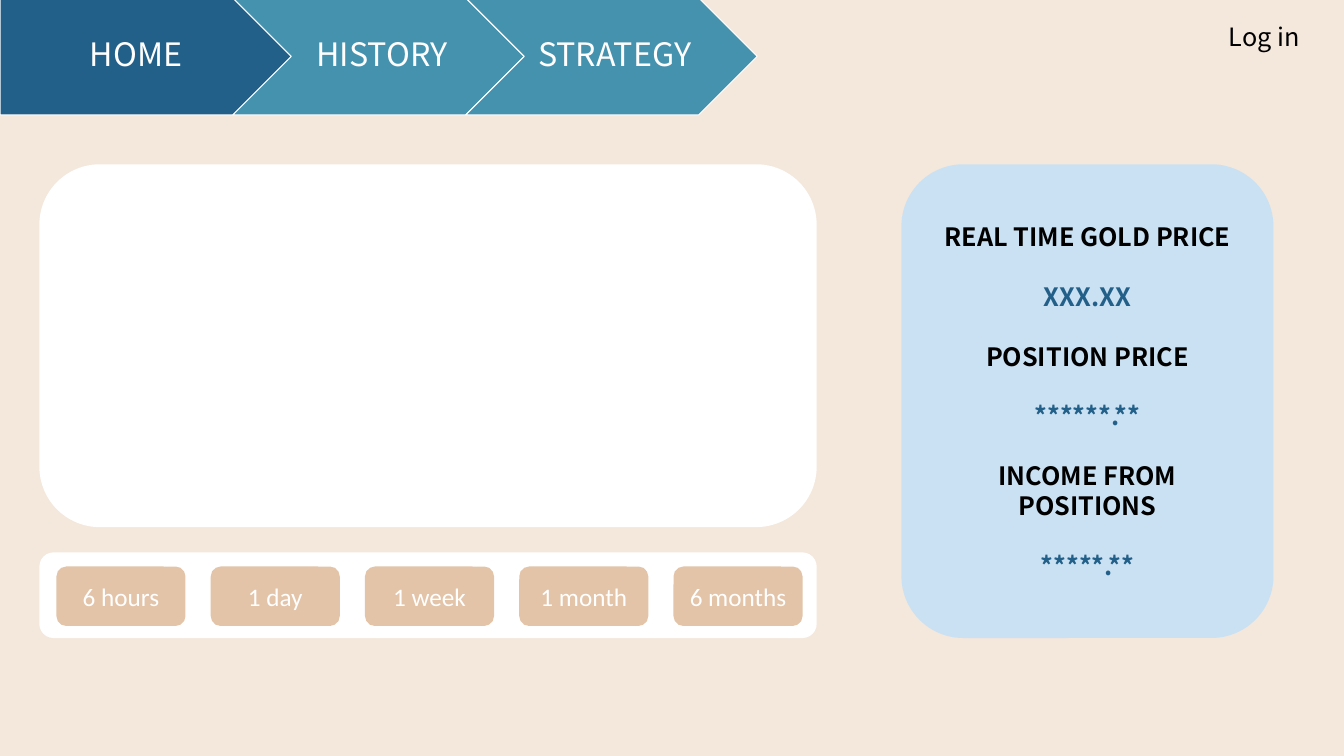
from pptx import Presentation
from pptx.dml.color import RGBColor
from pptx.enum.shapes import MSO_SHAPE
from pptx.enum.text import MSO_ANCHOR, PP_ALIGN
from pptx.util import Pt

RECTANGLE = MSO_SHAPE.RECTANGLE
ROUNDED = MSO_SHAPE.ROUNDED_RECTANGLE
PENTAGON = MSO_SHAPE.PENTAGON
CHEVRON = MSO_SHAPE.CHEVRON
MIDDLE = MSO_ANCHOR.MIDDLE
CENTER = PP_ALIGN.CENTER

EMU_PER_PX = 9144
SLIDE_WIDTH, SLIDE_HEIGHT = 1333, 750
HEADING_FONT = "Noto Sans CJK SC"
BUTTON_FONT = "Calibri"
COLORS = {
    "sand": "F4E7DC",
    "white": "FFFFFF",
    "black": "000000",
    "pale_blue": "C9E1F2",
    "navy": "226089",
    "teal": "4592AF",
    "tan": "E3C4A8",
}
TABS = ["HOME", "HISTORY", "STRATEGY"]
PERIODS = ["6 hours", "1 day", "1 week", "1 month", "6 months"]
PRICES = [
    ("REAL TIME GOLD PRICE", "XXX.XX"),
    ("POSITION PRICE", "******.**"),
    ("INCOME FROM POSITIONS", "*****.**"),
]


def px(value):
    return value * EMU_PER_PX


def color(name):
    return RGBColor.from_string(COLORS[name])


def add_box(shapes, kind, left, top, width, height, fill):
    shape = shapes.add_shape(kind, px(left), px(top), px(width), px(height))
    shape.shadow.inherit = False
    shape.fill.solid()
    shape.fill.fore_color.rgb = color(fill)
    shape.line.fill.background()
    return shape


def format_text(paragraph, size, font_name, color_name, bold=False):
    for run in paragraph.runs:
        run.font.size = Pt(size)
        run.font.name = font_name
        run.font.bold = bold
        run.font.color.rgb = color(color_name)


def set_label(shape, text, size, font_name):
    text_frame = shape.text_frame
    text_frame.text = text
    text_frame.word_wrap = True
    text_frame.vertical_anchor = MIDDLE
    paragraph = text_frame.paragraphs[0]
    paragraph.alignment = CENTER
    format_text(paragraph, size, font_name, "white")
    return text_frame


def add_navigation(slide):
    shapes = slide.shapes.add_group_shape().shapes
    for index, title in enumerate(TABS):
        is_home = index == 0
        kind, fill = (PENTAGON, "navy") if is_home else (CHEVRON, "teal")
        tab = add_box(shapes, kind, 231 * index, -2, 289, 116, fill)
        tab.line.color.rgb = color("white")
        tab.line.width = Pt(0.75)
        text_frame = set_label(tab, title, 23, HEADING_FONT)
        text_frame.margin_left = px(13 if is_home else 10)
        text_frame.margin_right = px(3)
        text_frame.margin_top = text_frame.margin_bottom = px(7)
        text_frame.paragraphs[0].line_spacing = 0.9


def add_price_panel(slide):
    panel = add_box(slide.shapes, ROUNDED, 894, 163, 369, 470, "pale_blue")
    text_frame = panel.text_frame
    text_frame.word_wrap = True
    text_frame.vertical_anchor = MIDDLE
    lines = [line for entry in PRICES for line in entry]
    text_frame.text = "\n".join(lines)
    for index, paragraph in enumerate(text_frame.paragraphs):
        paragraph.alignment = CENTER
        if index:
            paragraph.space_before = Pt(21)
        text_color = "navy" if index % 2 else "black"
        format_text(paragraph, 18, HEADING_FONT, text_color, bold=True)


def add_login(slide):
    box = slide.shapes.add_textbox(px(1209), px(16), px(108), px(40))
    box.text_frame.word_wrap = True
    box.text_frame.text = "Log in"
    format_text(box.text_frame.paragraphs[0], 18, HEADING_FONT, "black")


def add_period_bar(slide):
    shapes = slide.shapes.add_group_shape().shapes
    add_box(shapes, ROUNDED, 39, 548, 771, 85, "white")
    for index, period in enumerate(PERIODS):
        button = add_box(shapes, ROUNDED, 56 + 153 * index, 562, 128, 59, "tan")
        set_label(button, period, 18, BUTTON_FONT)


def main():
    presentation = Presentation()
    presentation.slide_width = px(SLIDE_WIDTH)
    presentation.slide_height = px(SLIDE_HEIGHT)
    slide = presentation.slides.add_slide(presentation.slide_layouts[6])
    add_box(slide.shapes, RECTANGLE, 0, 0, SLIDE_WIDTH, SLIDE_HEIGHT, "sand")
    add_box(slide.shapes, ROUNDED, 39, 163, 771, 360, "white")
    add_price_panel(slide)
    add_navigation(slide)
    add_login(slide)
    add_period_bar(slide)
    presentation.save("out.pptx")


if __name__ == "__main__":
    main()
